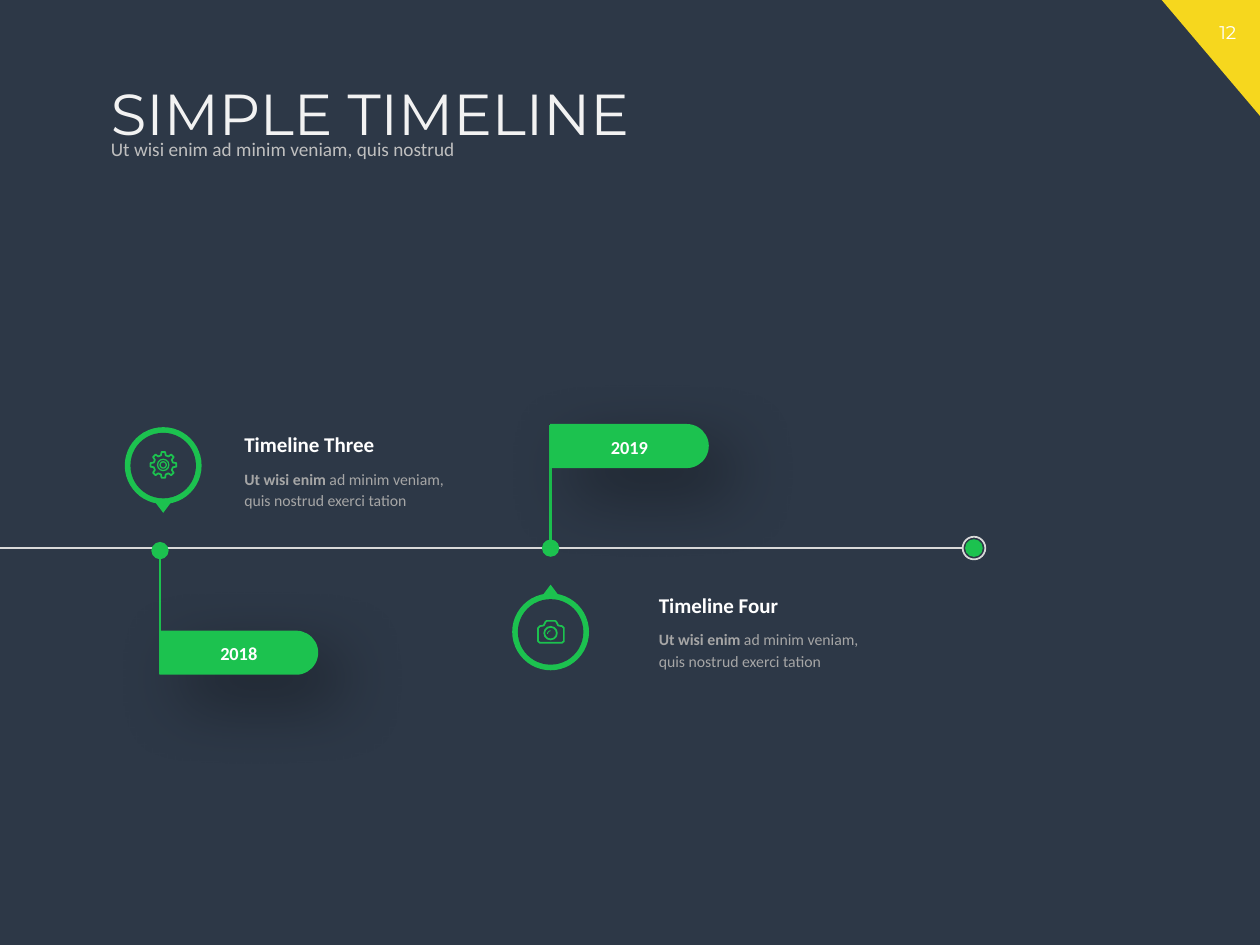
"""Build a dark timeline slide with two dated flags and icon badges."""
import math

import pptx
import pptx.dml.color
import pptx.enum.shapes
import pptx.enum.text
import pptx.oxml
import pptx.oxml.ns
import pptx.util

RGBColor = pptx.dml.color.RGBColor
NAVY = RGBColor(0x2D, 0x38, 0x47)
GREEN = RGBColor(0x1C, 0xC2, 0x4F)
YELLOW = RGBColor(0xF6, 0xD7, 0x1E)
WHITE = RGBColor(0xFF, 0xFF, 0xFF)
OFF_WHITE = RGBColor(0xF2, 0xF2, 0xF2)
RULE = RGBColor(0xD9, 0xD9, 0xD9)
SILVER = RGBColor(0xBF, 0xBF, 0xBF)
GREY = RGBColor(0xA6, 0xA6, 0xA6)
KIND = pptx.enum.shapes.MSO_SHAPE
ALIGN = pptx.enum.text.PP_ALIGN
ANCHOR = pptx.enum.text.MSO_ANCHOR
NAMESPACE = pptx.oxml.ns.nsdecls("a")
COLUMNS, ROWS = 100, 75

deck = pptx.Presentation()
deck.slide_width = pptx.util.Inches(10)
deck.slide_height = pptx.util.Inches(7.5)
page = deck.slides.add_slide(deck.slide_layouts[0])
page.background.fill.solid()
page.background.fill.fore_color.rgb = NAVY


def cells(*lengths):
    """Turn alternating column and row counts into slide lengths."""
    steps = (deck.slide_width / COLUMNS, deck.slide_height / ROWS)
    return [pptx.util.Emu(round(length * steps[index % 2])) for index, length in enumerate(lengths)]


def write(box, text, size, color, lead="", font="Calibri", bold=False, align=ALIGN.LEFT,
          anchor=ANCHOR.TOP, spacing=1.0, wrap=True):
    """Fill a box with one paragraph, with an optional bold lead."""
    frame = box.text_frame
    frame.word_wrap = wrap
    frame.auto_size = pptx.enum.text.MSO_AUTO_SIZE.NONE
    frame.vertical_anchor = anchor
    para = frame.paragraphs[0]
    para.alignment = align
    para.line_spacing = spacing
    para.space_before = pptx.util.Pt(0)
    for words, heavy in ((lead, True), (text, bold)):
        if words:
            span = para.add_run()
            span.text = words
            span.font.name = font
            span.font.size = pptx.util.Pt(size)
            span.font.bold = heavy
            span.font.color.rgb = color


title, subtitle = page.placeholders
title.left, title.top, title.width, title.height = cells(7.8, 6.3, 88.6, 7.3)
write(title, "SIMPLE TIMELINE", 33, OFF_WHITE, font="Montserrat", spacing=0.9)
subtitle.left, subtitle.top, subtitle.width, subtitle.height = cells(7.8, 10.6, 72.1, 2.6)
write(subtitle, "Ut wisi enim ad minim veniam, quis nostrud", 11, SILVER,
      anchor=ANCHOR.MIDDLE, spacing=0.9)

connectors = [
    ((76.4, 43.5, 0, 43.5), RULE, 1, False),
    ((43.7, 33.7, 43.7, 43.5), GREEN, 1.5, True),
    ((12.7, 53.5, 12.7, 43.7), GREEN, 1.5, True),
]
for ends, color, weight, dotted in connectors:
    connector = page.shapes.add_connector(pptx.enum.shapes.MSO_CONNECTOR.STRAIGHT, *cells(*ends))
    connector.line.color.rgb = color
    connector.line.width = pptx.util.Pt(weight)
    if dotted:
        connector.line._get_or_add_ln().append(
            pptx.oxml.parse_xml(f'<a:tailEnd {NAMESPACE} type="oval" w="lg" len="lg"/>'))
    connector._element.spPr.append(pptx.oxml.parse_xml(f"<a:effectLst {NAMESPACE}/>"))

flags = [("2019", 43.65, 33.65), ("2018", 12.65, 50.05)]
for year, left, top in flags:
    flag = page.shapes.add_shape(KIND.ROUND_2_SAME_RECTANGLE,
                                 *cells(left + 4.55, top - 4.55, 3.5, 12.6))
    flag.rotation = 90
    flag.adjustments[0] = 0.5
    flag.adjustments[1] = 0
    flag.fill.solid()
    flag.fill.fore_color.rgb = GREEN
    flag.line.fill.background()
    flag._element.spPr.append(pptx.oxml.parse_xml(
        f'<a:effectLst {NAMESPACE}><a:outerShdw blurRad="{pptx.util.Pt(40)}" '
        f'dist="{pptx.util.Pt(20)}" dir="2700000" algn="tl" rotWithShape="0">'
        '<a:srgbClr val="000000"><a:alpha val="40000"/></a:srgbClr></a:outerShdw></a:effectLst>'))
    label = page.shapes.add_textbox(*cells(left + 1.7, top + 0.45, 9.2, 2.8))
    write(label, year, 10.5, WHITE, bold=True, align=ALIGN.CENTER)

shapes = [
    (KIND.RIGHT_TRIANGLE, (92.2, 0, 7.8, 9.2), 180, YELLOW, None, 0),
    (KIND.OVAL, (76.6, 42.8, 1.4, 1.4), 0, GREEN, None, 0),
    (KIND.OVAL, (76.4, 42.6, 1.8, 1.8), 0, None, RULE, 1),
]
badges = [(43.7, 50.15, 46.4, 0), (12.95, 36.95, 39.9, 180)]
for x, y, pointer_top, turn in badges:
    shapes += [
        (KIND.OVAL, (x - 3.05, y - 3.05, 6.1, 6.1), 0, GREEN, None, 0),
        (KIND.ISOSCELES_TRIANGLE, (x - 0.6, pointer_top, 1.2, 0.8), turn, GREEN, None, 0),
        (KIND.OVAL, (x - 2.6, y - 2.6, 5.2, 5.2), 0, NAVY, None, 0),
    ]
shapes += [
    (KIND.OVAL, (43.2, 49.75, 1, 1), 0, None, GREEN, 1),
    (KIND.ARC, (43.45, 50.05, 0.5, 0.5), 270, None, GREEN, 0.5),
    (KIND.OVAL, (12.5, 36.45, 0.9, 0.9), 0, None, GREEN, 0.75),
    (KIND.OVAL, (12.7, 36.65, 0.5, 0.5), 0, None, GREEN, 0.75),
]
for kind, place, turn, fill, edge, weight in shapes:
    shape = page.shapes.add_shape(kind, *cells(*place))
    shape.shadow.inherit = False
    shape.rotation = turn
    if fill is None:
        shape.fill.background()
        shape.line.color.rgb = edge
        shape.line.width = pptx.util.Pt(weight)
    else:
        shape.fill.solid()
        shape.fill.fore_color.rgb = fill
        shape.line.fill.background()

camera = [(42.7, 49.85), (42.85, 49.7), (43.15, 49.65), (43.3, 49.35), (43.4, 49.28),
          (44.05, 49.28), (44.15, 49.35), (44.3, 49.65), (44.6, 49.7), (44.75, 49.85),
          (44.75, 50.9), (44.6, 51.02), (42.85, 51.02), (42.7, 50.9)]
gear = []
for tooth in range(8):
    for offset, radius in ((-14, 0.78), (-8, 1.03), (8, 1.03), (14, 0.78)):
        angle = math.radians(45 * tooth + offset)
        gear.append((12.97 + radius * math.cos(angle), 36.9 + radius * math.sin(angle)))
for outline in (camera, gear):
    points = [cells(*point) for point in outline]
    builder = page.shapes.build_freeform(*points[0])
    builder.add_line_segments(points[1:], close=True)
    icon = builder.convert_to_shape()
    icon.shadow.inherit = False
    icon.fill.background()
    icon.line.color.rgb = GREEN
    icon.line.width = pptx.util.Pt(1)

entries = [("Timeline Four", 51.3, 46.5), ("Timeline Three", 18.4, 33.75)]
for heading, left, top in entries:
    name = page.shapes.add_textbox(*cells(left, top, 12.5, 3))
    write(name, heading, 12, WHITE, bold=True, wrap=False)
    detail = page.shapes.add_textbox(*cells(left, top + 2.8, 19.9, 4.7))
    write(detail, "ad minim veniam, quis nostrud exerci tation", 9, GREY,
          lead="Ut wisi enim ", spacing=1.14)

number = page.shapes.add_textbox(*cells(94.9, 1.2, 5.1, 2.8))
write(number, "12", 10.5, WHITE, font="Montserrat", align=ALIGN.CENTER)

deck.save("out.pptx")
